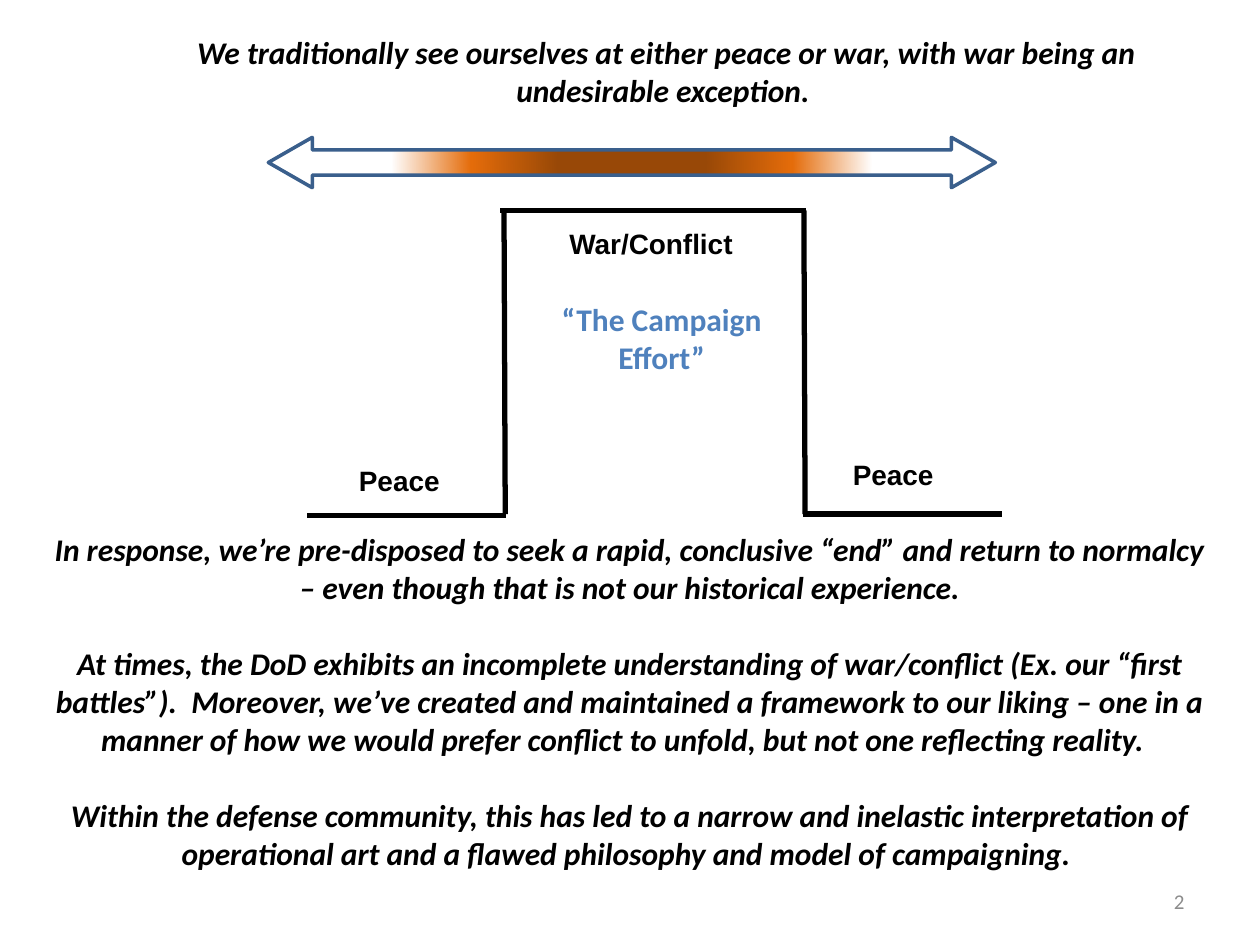
"""Builds the peace and war slide with its conflict step diagram."""
from lxml.etree import SubElement
from pptx import Presentation
from pptx.dml.color import RGBColor
from pptx.enum.shapes import MSO_CONNECTOR as Connector, MSO_SHAPE as Shape
from pptx.enum.text import MSO_ANCHOR as Anchor, MSO_AUTO_SIZE as AutoSize, PP_ALIGN as Align
from pptx.oxml import parse_xml
from pptx.oxml.ns import nsdecls, qn
from pptx.util import Inches, Pt

BLACK = RGBColor(0x00, 0x00, 0x00)
WHITE = RGBColor(0xFF, 0xFF, 0xFF)
GRAY = RGBColor(0x8C, 0x8C, 0x8C)
BLUE = RGBColor(0x4F, 0x81, 0xBD)
OUTLINE = RGBColor(0x3A, 0x5F, 0x8C)
BROWN = RGBColor(0x98, 0x48, 0x07)
ORANGE = RGBColor(0xE4, 0x6C, 0x0A)

STATEMENT = {"name": "Calibri", "size": Pt(18), "bold": True, "italic": True}
CAMPAIGN = {"name": "Calibri", "size": Pt(18), "bold": True}
LABEL = {"name": "Arial", "size": Pt(16), "bold": True}
NUMBER = {"name": "Calibri", "size": Pt(12)}

TITLE = ("We traditionally see ourselves at either peace or war, "
         "with war being an undesirable exception. ")
STATEMENTS = [
    "In response, we’re pre-disposed to seek a rapid, conclusive “end” and return to "
    "normalcy – even though that is not our historical experience.",
    "At times, the DoD exhibits an incomplete understanding of war/conflict (Ex. our “first "
    "battles”).  Moreover, we’ve created and maintained a framework to our liking – one in a "
    "manner of how we would prefer conflict to unfold, but not one reflecting reality.  ",
    "Within the defense community, this has led to a narrow and inelastic interpretation of "
    "operational art and a flawed philosophy and model of campaigning. ",
]
LABELS = [("Peace", 2.75, 3.63, 0.85), ("War/Conflict", 4.42, 1.75, 1.52),
          ("Peace", 6.67, 3.58, 0.85)]
STEP_LINES = [
    (2.44, 4.09, 4.02, 4.09),
    (6.37, 4.08, 7.95, 4.08),
    (4, 1.67, 4.01, 4.08),
    (6.38, 1.67, 6.39, 4.08),
    (3.97, 1.67, 6.4, 1.67),
]
GRADIENT = [(20, BROWN), (44, ORANGE), (66, WHITE)]


class SlideBuilder:
    def __init__(self, page):
        self.page = page

    def fill_text(self, box, lines, style, color=BLACK, align=Align.CENTER, gap=0):
        frame = box.text_frame
        for index, line in enumerate(lines):
            para = frame.add_paragraph() if index else frame.paragraphs[0]
            para.alignment = align
            para.space_before = Pt(gap if index else 0)
            span = para.add_run()
            span.text = line
            for name, value in style.items():
                setattr(span.font, name, value)
            span.font.color.rgb = color

    def title(self, text, *bounds):
        box = self.page.shapes.title
        box.left, box.top, box.width, box.height = map(Inches, bounds)
        box.text_frame.auto_size = AutoSize.NONE
        box.text_frame.vertical_anchor = Anchor.MIDDLE
        self.fill_text(box, [text], STATEMENT)

    def text(self, lines, bounds, style, wrap=True, anchor=Anchor.TOP, **options):
        box = self.page.shapes.add_textbox(*map(Inches, bounds))
        box.text_frame.word_wrap = wrap
        box.text_frame.vertical_anchor = anchor
        self.fill_text(box, lines, style, **options)

    def line(self, *ends):
        line = self.page.shapes.add_connector(Connector.STRAIGHT, *map(Inches, ends))
        line.line.color.rgb = BLACK
        line.line.width = Pt(3)
        SubElement(line._element.spPr, qn("a:effectLst"))

    def gradient_arrow(self, *bounds):
        arrow = self.page.shapes.add_shape(Shape.LEFT_RIGHT_ARROW, *map(Inches, bounds))
        arrow.shadow.inherit = False
        arrow.adjustments[0], arrow.adjustments[1] = 0.5, 0.873
        arrow.line.color.rgb = OUTLINE
        arrow.line.width = Pt(2)
        stops = "".join(f'<a:gs pos="{position * 1000}"><a:srgbClr val="{color}"/></a:gs>'
                        for position, color in GRADIENT)
        fill = parse_xml(
            f'<a:gradFill {nsdecls("a")} rotWithShape="1"><a:gsLst>{stops}</a:gsLst>'
            '<a:path path="circle"><a:fillToRect l="50000" t="50000" r="50000" b="50000"/>'
            '</a:path></a:gradFill>')
        arrow._element.spPr.find(qn("a:prstGeom")).addnext(fill)


def main():
    deck = Presentation()
    deck.slide_width, deck.slide_height = Inches(10), Inches(7.5)
    builder = SlideBuilder(deck.slides.add_slide(deck.slide_layouts[5]))
    builder.text(["2"], (7.17, 6.95, 2.33, 0.4), NUMBER, anchor=Anchor.MIDDLE,
                 color=GRAY, align=Align.RIGHT)
    builder.title(TITLE, 1.08, 0.25, 8.42, 0.62)
    for text, left, top, width in LABELS:
        builder.text([text], (left, top, width, 0.37), LABEL, wrap=False, align=Align.LEFT)
    for ends in STEP_LINES:
        builder.line(*ends)
    builder.text(["“The Campaign ", "Effort” "], (4.35, 2.33, 1.86, 0.71), CAMPAIGN,
                 wrap=False, color=BLUE)
    builder.gradient_arrow(2.13, 1.09, 5.77, 0.4)
    builder.text(STATEMENTS, (0.25, 4.16, 9.5, 2.83), STATEMENT, gap=22)
    deck.save("out.pptx")


if __name__ == "__main__":
    main()
